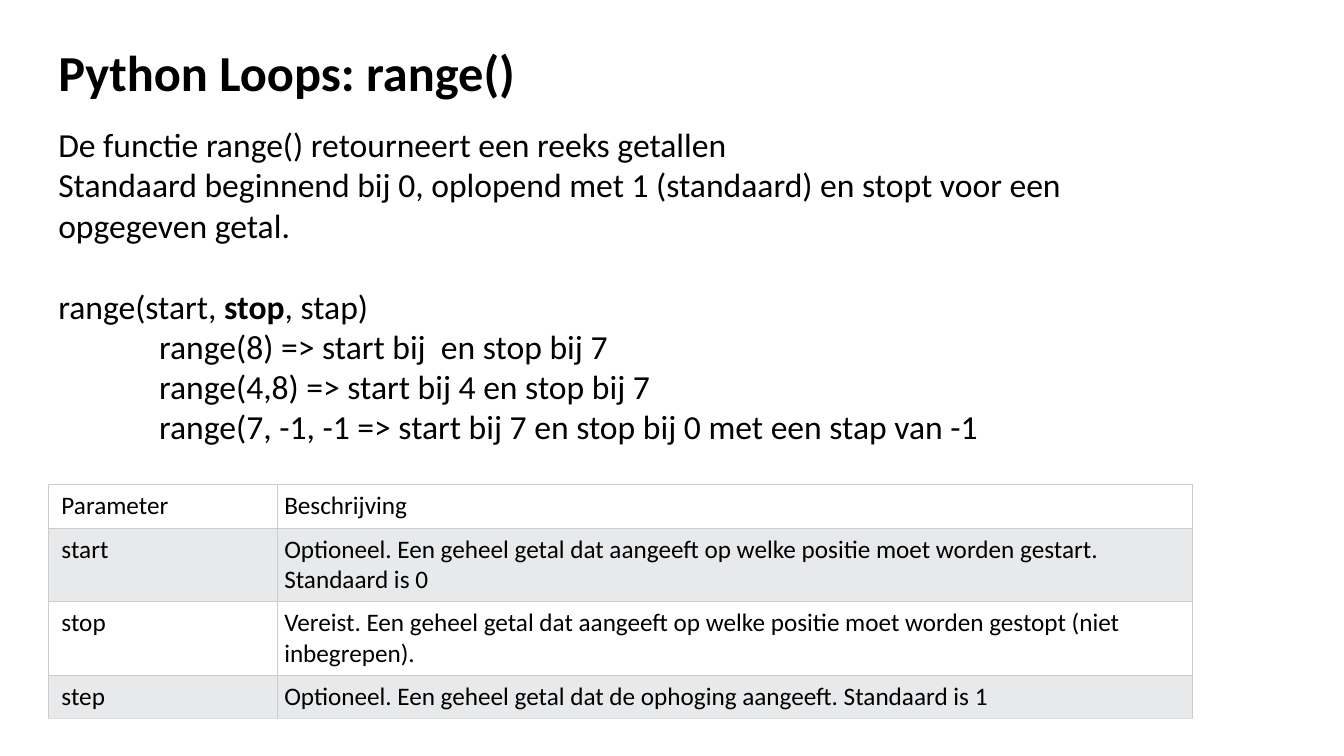
from lxml import etree
from pptx import Presentation
from pptx import util as u
from pptx.dml.color import RGBColor
from pptx.oxml import ns

BLACK = RGBColor(0x00, 0x00, 0x00)
WHITE = RGBColor(0xFF, 0xFF, 0xFF)
BAND = RGBColor(0xE7, 0xE9, 0xEB)
BORDER = RGBColor(0xCC, 0xCC, 0xCC)
BOTTOM_BORDER = RGBColor(0xDD, 0xDD, 0xDD)


def add_text(para, words, size=24, bold=False):
    span = para.add_run()
    span.text = words
    span.font.name = "Calibri"
    span.font.size = u.Pt(size)
    span.font.bold = bold
    span.font.color.rgb = BLACK


def add_border(cell, side, color):
    line = etree.SubElement(cell._tc.get_or_add_tcPr(), ns.qn("a:ln" + side), w=str(u.Pt(0.6)))
    fill = etree.SubElement(line, ns.qn("a:solidFill"))
    etree.SubElement(fill, ns.qn("a:srgbClr"), val=str(color))


deck = Presentation()
deck.slide_width = u.Inches(13.33)
deck.slide_height = u.Inches(7.5)
page = deck.slides.add_slide(deck.slide_layouts[6])

title = page.shapes.add_textbox(u.Inches(0.48), u.Inches(0.36), u.Inches(8.5), u.Inches(0.7))
title.text_frame.word_wrap = True
add_text(title.text_frame.paragraphs[0], "Python Loops: range()", size=36, bold=True)

body = page.shapes.add_textbox(u.Inches(0.48), u.Inches(1.18), u.Inches(11.06), u.Inches(3.33))
body.text_frame.word_wrap = True
add_text(body.text_frame.paragraphs[0], "De functie range() retourneert een reeks getallen")
add_text(
    body.text_frame.add_paragraph(),
    "Standaard beginnend bij 0, oplopend met 1 (standaard) en stopt voor een opgegeven getal.",
)

signature = body.text_frame.add_paragraph()
signature.space_before = u.Pt(29)
add_text(signature, "range(start, ")
add_text(signature, "stop", bold=True)
add_text(signature, ", stap)")

for example in (
    "range(8) => start bij  en stop bij 7",
    "range(4,8) => start bij 4 en stop bij 7",
    "range(7, -1, -1 => start bij 7 en stop bij 0 met een stap van -1",
):
    para = body.text_frame.add_paragraph()
    para._p.get_or_add_pPr().set("marL", str(u.Inches(1)))
    add_text(para, example)

parameters = [
    ("Parameter", "Beschrijving", 0.43),
    ("start", "Optioneel. Een geheel getal dat aangeeft op welke positie moet worden gestart. Standaard is 0", 0.73),
    ("stop", "Vereist. Een geheel getal dat aangeeft op welke positie moet worden gestopt (niet inbegrepen).", 0.73),
    ("step", "Optioneel. Een geheel getal dat de ophoging aangeeft. Standaard is 1", 0.43),
]
table = page.shapes.add_table(
    len(parameters), 2, u.Inches(0.48), u.Inches(4.81), u.Inches(11.35), u.Inches(2.32)
).table
table.first_row = False
table.horz_banding = False
table.columns[0].width = u.Inches(2.27)
table.columns[1].width = u.Inches(9.08)

for row, (name, description, height) in enumerate(parameters):
    table.rows[row].height = u.Inches(height)
    for column, words in enumerate((name, description)):
        cell = table.cell(row, column)
        cell.margin_left = u.Inches(0.07 if column else 0.13)
        cell.margin_right = u.Inches(0.07)
        cell.margin_top = cell.margin_bottom = u.Inches(0.06)
        add_text(cell.text_frame.paragraphs[0], words, size=18)
        for side in "LRTB":
            last_edge = side == "B" and row == len(parameters) - 1
            add_border(cell, side, BOTTOM_BORDER if last_edge else BORDER)
        cell.fill.solid()
        cell.fill.fore_color.rgb = BAND if row % 2 else WHITE

deck.save("out.pptx")
